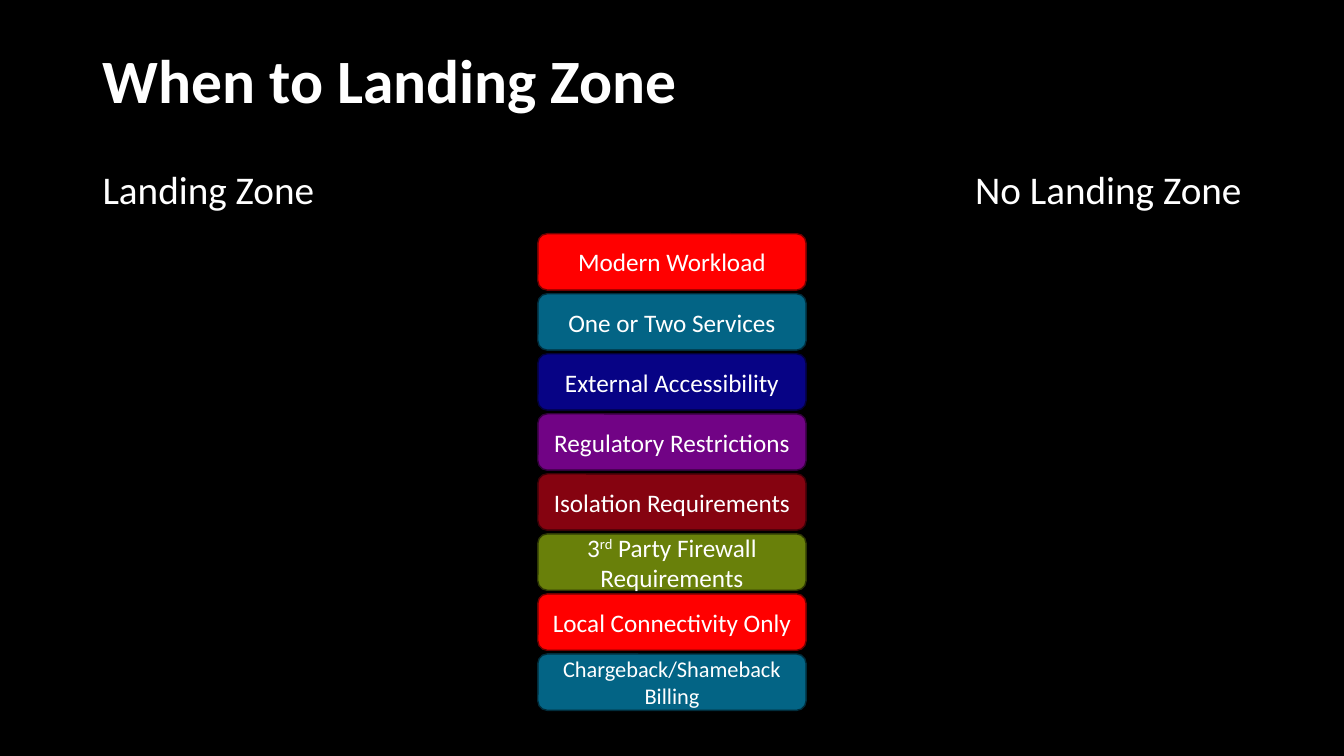
from dataclasses import dataclass

from lxml.etree import SubElement
from pptx import Presentation
from pptx.dml.color import RGBColor
from pptx.enum.shapes import MSO_SHAPE as Preset
from pptx.enum.text import MSO_ANCHOR as Anchor, MSO_AUTO_SIZE as AutoSize, PP_ALIGN as Align
from pptx.oxml.ns import qn
from pptx.slide import Slide
from pptx.text.text import TextFrame
from pptx.util import Cm, Pt


@dataclass(frozen=True)
class Theme:
    font: str = "Calibri"
    background: str = "000000"
    text: str = "FFFFFF"
    red: str = "FF0000"
    teal: str = "036485"
    navy: str = "070385"
    purple: str = "710385"
    maroon: str = "850310"
    olive: str = "69800A"
    outline_shade: float = 0.44
    title_size: int = 44
    heading_size: int = 28
    card_size: int = 18
    small_card_size: int = 16


THEME = Theme()


@dataclass(frozen=True)
class Span:
    text: str
    superscript: bool = False


@dataclass(frozen=True)
class Heading:
    placeholder: int
    text: str
    left: float
    top: float
    width: float
    height: float
    size: int = THEME.heading_size
    align: Align = Align.LEFT
    anchor: Anchor = Anchor.TOP
    bold: bool = False


@dataclass(frozen=True)
class Card:
    spans: tuple[Span, ...]
    fill: str
    size: int = THEME.card_size


SLIDE_WIDTH, SLIDE_HEIGHT = 33.87, 19.05
MARGIN, COLUMN_WIDTH = 2.33, 14.4
COLUMN_TOP, COLUMN_HEIGHT = 4.17, 13.0
CARD_WIDTH, CARD_HEIGHT = 6.76, 1.42
FIRST_CARD_TOP, LAST_CARD_TOP = 5.89, 16.48

HEADINGS = (
    Heading(0, "When to Landing Zone", MARGIN, 1.01, SLIDE_WIDTH - 2 * MARGIN, 2.21,
            THEME.title_size, anchor=Anchor.MIDDLE, bold=True),
    Heading(1, "Landing Zone", MARGIN, COLUMN_TOP, COLUMN_WIDTH, COLUMN_HEIGHT),
    Heading(2, "No Landing Zone", SLIDE_WIDTH - MARGIN - COLUMN_WIDTH, COLUMN_TOP,
            COLUMN_WIDTH, COLUMN_HEIGHT, align=Align.RIGHT),
)

CARDS = (
    Card((Span("Modern Workload"),), THEME.red),
    Card((Span("One or Two Services"),), THEME.teal),
    Card((Span("External Accessibility"),), THEME.navy),
    Card((Span("Regulatory Restrictions"),), THEME.purple),
    Card((Span("Isolation Requirements"),), THEME.maroon),
    Card((Span("3"), Span("rd", superscript=True), Span(" Party Firewall Requirements")),
         THEME.olive),
    Card((Span("Local Connectivity Only"),), THEME.red),
    Card((Span("Chargeback/Shameback Billing"),), THEME.teal, THEME.small_card_size),
)


def shade(color: str) -> RGBColor:
    """Darken a fill colour for its outline."""
    return RGBColor(*(round(part * THEME.outline_shade) for part in RGBColor.from_string(color)))


def apply_format(target: object, values: dict[str, object]) -> None:
    for attribute, value in values.items():
        setattr(target, attribute, value)


def write_line(frame: TextFrame, spans: tuple[Span, ...], size: int, align: Align,
               anchor: Anchor, line_spacing: float = 1.0, bold: bool = False) -> None:
    """Fill the frame with one unbulleted paragraph."""
    apply_format(frame, {"word_wrap": True, "auto_size": AutoSize.NONE,
                         "vertical_anchor": anchor})
    line = frame.paragraphs[0]
    apply_format(line, {"alignment": align, "line_spacing": line_spacing,
                        "space_before": Pt(0)})
    properties = line._p.get_or_add_pPr()
    properties.set("marL", "0")
    properties.set("indent", "0")
    SubElement(properties, qn("a:buNone"))
    for span in spans:
        run = line.add_run()
        run.text = span.text
        apply_format(run.font, {"name": THEME.font, "size": Pt(size), "bold": bold})
        run.font.color.rgb = RGBColor.from_string(THEME.text)
        if span.superscript:
            run._r.get_or_add_rPr().set("baseline", "30000")


def place_heading(slide: Slide, heading: Heading) -> None:
    holder = slide.placeholders[heading.placeholder]
    apply_format(holder, {side: Cm(getattr(heading, side))
                          for side in ("left", "top", "width", "height")})
    write_line(holder.text_frame, (Span(heading.text),), heading.size, heading.align,
               heading.anchor, line_spacing=0.9, bold=heading.bold)


def draw_card(slide: Slide, card: Card, top: float) -> None:
    box = slide.shapes.add_shape(Preset.ROUNDED_RECTANGLE, Cm((SLIDE_WIDTH - CARD_WIDTH) / 2),
                                 Cm(top), Cm(CARD_WIDTH), Cm(CARD_HEIGHT))
    box.shadow.inherit = False
    box.fill.solid()
    box.fill.fore_color.rgb = RGBColor.from_string(card.fill)
    box.line.color.rgb = shade(card.fill)
    box.line.width = Pt(1)
    write_line(box.text_frame, card.spans, card.size, Align.CENTER, Anchor.MIDDLE)


def main() -> None:
    deck = Presentation()
    apply_format(deck, {"slide_width": Cm(SLIDE_WIDTH), "slide_height": Cm(SLIDE_HEIGHT)})
    slide = deck.slides.add_slide(deck.slide_layouts.get_by_name("Two Content"))
    slide.background.fill.solid()
    slide.background.fill.fore_color.rgb = RGBColor.from_string(THEME.background)
    for heading in HEADINGS:
        place_heading(slide, heading)
    card_step = (LAST_CARD_TOP - FIRST_CARD_TOP) / (len(CARDS) - 1)
    for row, card in enumerate(CARDS):
        draw_card(slide, card, FIRST_CARD_TOP + row * card_step)
    deck.save("out.pptx")


if __name__ == "__main__":
    main()
